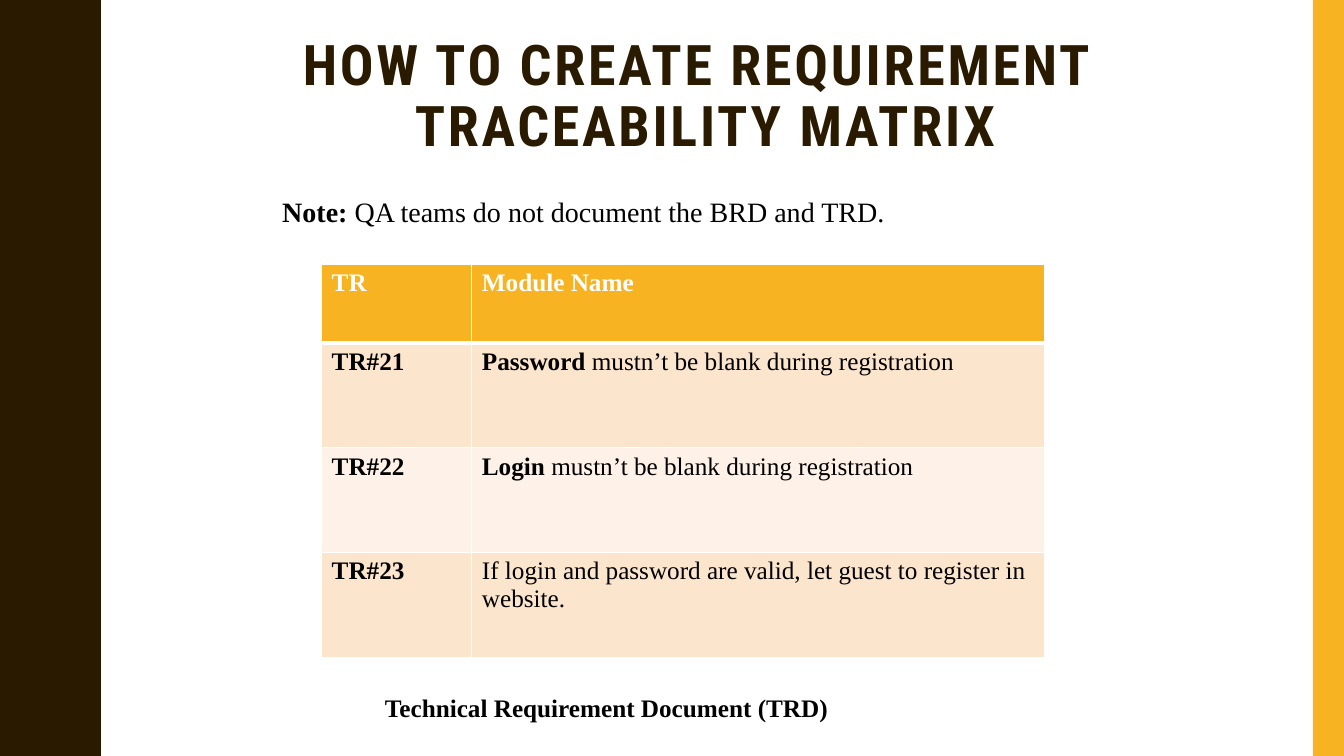
from dataclasses import dataclass

import pptx
import pptx.dml.color
import pptx.enum.shapes
import pptx.enum.text
import pptx.oxml.ns
import pptx.util
from lxml import etree
from pptx.util import Inches

Align = pptx.enum.text.PP_ALIGN


@dataclass(frozen=True)
class Theme:
    dark: str = "2A1A00"
    accent: str = "F8B323"
    band: str = "FCE5CD"
    light_band: str = "FEF2E8"
    white: str = "FFFFFF"
    black: str = "000000"
    title_font: str = "Roboto Condensed"
    body_font: str = "Times New Roman"
    title_size: int = 40
    note_size: int = 20
    body_size: int = 18


THEME = Theme()


@dataclass(frozen=True)
class Span:
    text: str
    bold: bool = False


@dataclass(frozen=True)
class Box:
    left: float
    top: float
    width: float
    height: float

    def inches(self) -> tuple:
        return tuple(Inches(v) for v in (self.left, self.top, self.width, self.height))


@dataclass(frozen=True)
class Row:
    height: float
    fill: str
    color: str
    cells: tuple
    bottom_border: int = 1


ROWS = (
    Row(0.78, THEME.accent, THEME.white,
        ((Span("TR", True),), (Span("Module Name", True),)), bottom_border=3),
    Row(1.04, THEME.band, THEME.black,
        ((Span("TR#21", True),),
         (Span("Password ", True), Span("mustn’t be blank during registration")))),
    Row(1.04, THEME.light_band, THEME.black,
        ((Span("TR#22", True),),
         (Span("Login ", True), Span("mustn’t be blank during registration")))),
    Row(1.04, THEME.band, THEME.black,
        ((Span("TR#23", True),),
         (Span("If login and password are valid, let guest to register in website."),))),
)
COLUMN_WIDTHS = (1.49, 5.68)

# Half a wave of the left edge, from trough to crest: (x, distance down)
HALF_WAVE = (
    (0.78, 0), (0.78, 0.07), (0.79, 0.14), (0.8, 0.2), (0.81, 0.25),
    (0.83, 0.29), (0.85, 0.33), (0.87, 0.38), (0.89, 0.42), (0.91, 0.46),
    (0.93, 0.5), (0.95, 0.55), (0.96, 0.61), (0.97, 0.68), (0.97, 0.75),
)
WAVE_PERIOD = 1.5
WAVE_COUNT = 5


def rgb(color: str) -> pptx.dml.color.RGBColor:
    return pptx.dml.color.RGBColor.from_string(color)


def write_text(frame, spans: tuple, *, size: int, color: str = THEME.black,
               font: str = THEME.body_font, align=Align.LEFT,
               line_spacing: float = 1.0, tracking: int = 0) -> None:
    """Fill the first paragraph; a newline in a span becomes a line break."""
    paragraph = frame.paragraphs[0]
    paragraph.alignment = align
    paragraph.line_spacing = line_spacing
    for span in spans:
        for index, line in enumerate(span.text.split("\n")):
            if index:
                paragraph.add_line_break()
            run = paragraph.add_run()
            run.text = line
            run.font.name = font
            run.font.size = pptx.util.Pt(size)
            run.font.bold = span.bold
            run.font.color.rgb = rgb(color)
            if tracking:
                run.font._element.set("spc", str(tracking * 100))


def add_text(slide, box: Box, spans: tuple, *, wrap: bool = True, **text_format) -> None:
    frame = slide.shapes.add_textbox(*box.inches()).text_frame
    frame.word_wrap = wrap
    write_text(frame, spans, **text_format)


def paint(shape, color: str) -> None:
    shape.shadow.inherit = False
    shape.fill.solid()
    shape.fill.fore_color.rgb = rgb(color)
    shape.line.fill.background()


def add_wavy_edge(slide) -> None:
    falling = [(x, WAVE_PERIOD - y) for x, y in reversed(HALF_WAVE[:-1])]
    wave = list(HALF_WAVE) + falling
    edge = [(x, y + n * WAVE_PERIOD) for n in range(WAVE_COUNT) for x, y in wave]
    builder = slide.shapes.build_freeform(0, 0, scale=Inches(1))
    builder.add_line_segments(edge + [(0, WAVE_COUNT * WAVE_PERIOD)], close=True)
    paint(builder.convert_to_shape(), THEME.dark)


def set_borders(cell, bottom: int) -> None:
    properties = cell._tc.get_or_add_tcPr()
    for side, points in (("L", 1), ("R", 1), ("T", 1), ("B", bottom)):
        line = etree.SubElement(properties, pptx.oxml.ns.qn(f"a:ln{side}"),
                                w=str(pptx.util.Pt(points)))
        fill = etree.SubElement(line, pptx.oxml.ns.qn("a:solidFill"))
        etree.SubElement(fill, pptx.oxml.ns.qn("a:srgbClr"), val=THEME.white)


def add_requirements(slide, box: Box) -> None:
    table = slide.shapes.add_table(len(ROWS), len(COLUMN_WIDTHS), *box.inches()).table
    for column, width in zip(table.columns, COLUMN_WIDTHS):
        column.width = Inches(width)
    top_border = 1
    for table_row, row in zip(table.rows, ROWS):
        table_row.height = Inches(row.height)
        for cell, spans in zip(table_row.cells, row.cells):
            set_borders(cell, row.bottom_border)
            cell._tc.tcPr.find(pptx.oxml.ns.qn("a:lnT")).set(
                "w", str(pptx.util.Pt(top_border)))
            cell.fill.solid()
            cell.fill.fore_color.rgb = rgb(row.fill)
            write_text(cell.text_frame, spans, size=THEME.body_size, color=row.color)
        top_border = row.bottom_border


def main() -> None:
    deck = pptx.Presentation()
    deck.slide_width, deck.slide_height = Inches(13.33), Inches(7.5)
    slide = deck.slides.add_slide(deck.slide_layouts[6])

    add_wavy_edge(slide)
    side_bar = slide.shapes.add_shape(pptx.enum.shapes.MSO_SHAPE.RECTANGLE,
                                      *Box(13.02, 0, 0.31, 7.5).inches())
    paint(side_bar, THEME.accent)

    add_text(slide, Box(1.2, 0.32, 11.59, 0.78),
             (Span("HOW TO CREATE REQUIREMENT \nTRACEABILITY MATRIX", True),),
             size=THEME.title_size, color=THEME.dark, font=THEME.title_font,
             align=Align.CENTER, line_spacing=0.9, tracking=2)
    add_text(slide, Box(2.7, 1.88, 9.38, 0.44),
             (Span("Note: ", True), Span("QA teams do not document the BRD and TRD. ")),
             size=THEME.note_size, align=Align.JUSTIFY)
    add_requirements(slide, Box(3.19, 2.62, 7.17, 3.9))
    add_text(slide, Box(3.72, 6.82, 4.64, 0.4),
             (Span("Technical Requirement Document (TRD)", True),),
             wrap=False, size=THEME.body_size)

    deck.save("out.pptx")


if __name__ == "__main__":
    main()
